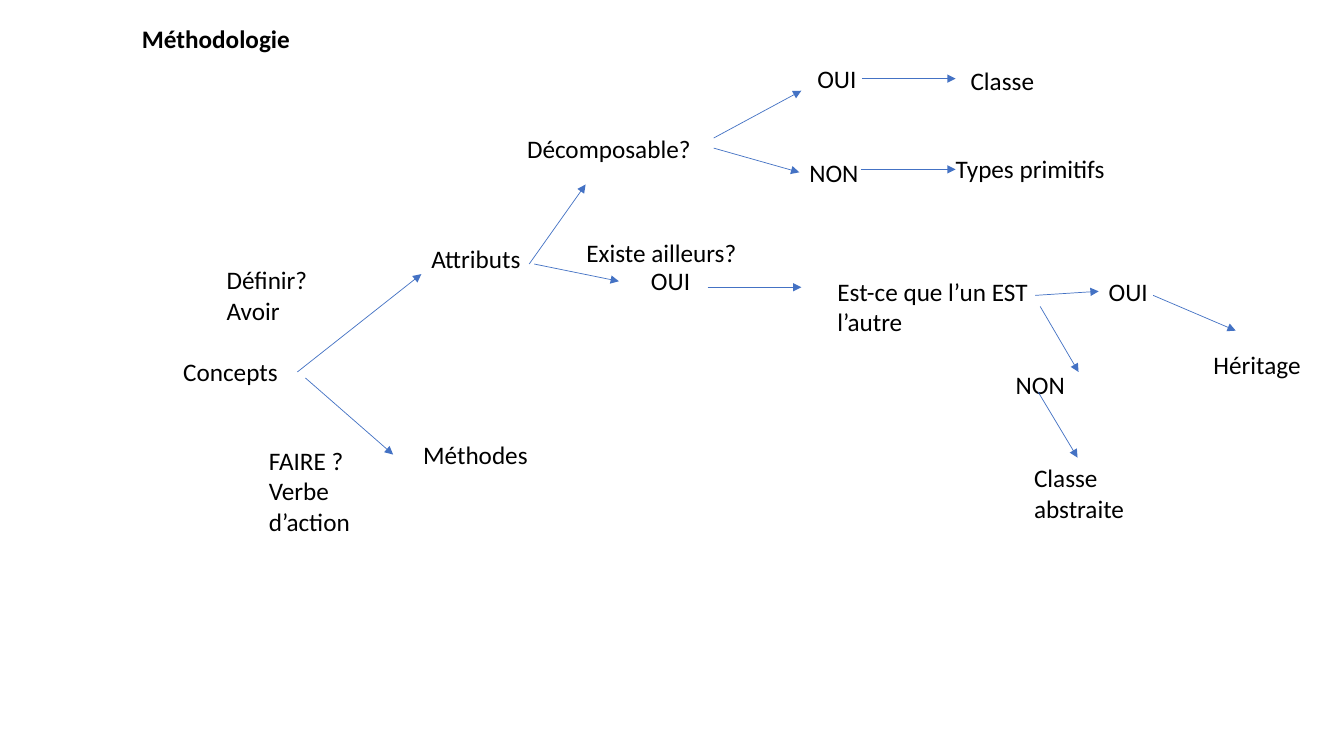
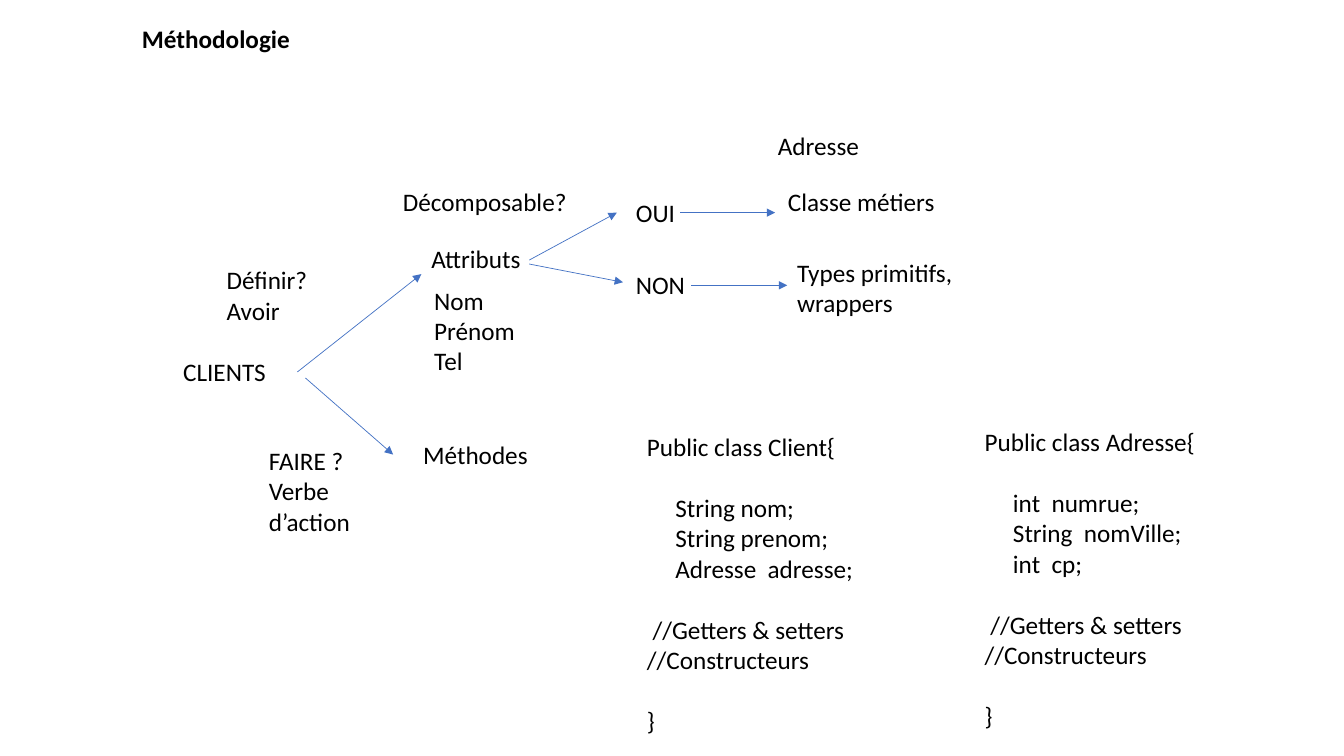
from lxml import etree
from pptx import Presentation
from pptx.dml.color import RGBColor
from pptx.enum import shapes, text
from pptx.oxml import ns
from pptx.util import Pt

BLACK = RGBColor(0x00, 0x00, 0x00)
BLUE = RGBColor(0x44, 0x72, 0xC4)


class Diagram:
    font_name = "Calibri"
    font_size = 18
    line_height = 21.8
    padding = 7.2

    def __init__(self, presentation):
        self.presentation = presentation
        self.slide = None

    def start(self, title):
        self.slide = self.presentation.slides.add_slide(self.presentation.slide_layouts[6])
        self.label(title, 94.3, 13, 328, bold=True)

    def label(self, content, left, top, width, rows=1, bold=False):
        height = rows * self.line_height + self.padding
        shape = self.slide.shapes.add_textbox(Pt(left), Pt(top), Pt(width), Pt(height))
        frame = shape.text_frame
        frame.word_wrap = True
        frame.auto_size = text.MSO_AUTO_SIZE.SHAPE_TO_FIT_TEXT
        frame.text = content
        for paragraph in frame.paragraphs:
            paragraph.font.name = self.font_name
            paragraph.font.size = Pt(self.font_size)
            paragraph.font.bold = bold
            paragraph.font.color.rgb = BLACK
        return frame.paragraphs

    def arrow(self, x1, y1, x2, y2):
        connector = self.slide.shapes.add_connector(
            shapes.MSO_CONNECTOR.STRAIGHT, Pt(x1), Pt(y1), Pt(x2), Pt(y2))
        connector.line.color.rgb = BLUE
        connector.line.width = Pt(0.5)
        etree.SubElement(connector.line._get_or_add_ln(), ns.qn("a:tailEnd"), type="triangle")
        etree.SubElement(connector._element.spPr, ns.qn("a:effectLst"))

    def code(self, name, fields, left, top):
        lines = [f"Public class {name}{{", *fields, "//Getters & setters", "//Constructeurs", "}"]
        paragraphs = self.label("\n".join(lines), left, top, 295, rows=10)
        comment = len(fields) + 1
        for index in (1, comment, len(lines) - 1):
            paragraphs[index].space_before = Pt(22)
        for paragraph in paragraphs[1:comment]:
            self.indent(paragraph, 20.3)
        self.indent(paragraphs[comment], 4.1)

    def indent(self, paragraph, distance):
        paragraph._p.get_or_add_pPr().set("marL", str(Pt(distance)))

    def concept_tree(self, concept):
        self.label(concept, 123.8, 251.3, 88.6)
        self.arrow(212.4, 265.7, 301, 195.8)
        self.label("Attributs", 301, 170.6, 88.6)
        self.label("Définir?\nAvoir", 154.8, 185.5, 103, rows=2)
        self.arrow(218.2, 270, 280.8, 324.7)
        self.label("Méthodes", 295.2, 310.3, 113)
        self.label("FAIRE ?\nVerbe d’action", 185, 314.6, 102.2, rows=3)


presentation = Presentation()
presentation.slide_width = Pt(960)
presentation.slide_height = Pt(540)
diagram = Diagram(presentation)

diagram.start("Méthodologie")
diagram.concept_tree("Concepts")
for label in (
    ("Décomposable?", 369.4, 91.4, 152),
    ("OUI", 576.7, 41.8, 106),
    ("Classe", 686.2, 43.2, 152),
    ("NON", 571, 108.7, 67),
    ("Types primitifs", 675.6, 105.8, 152),
    ("Existe ailleurs?", 411.8, 165.6, 152),
    ("OUI", 457.9, 186.2, 106),
    ("Est-ce que l’un EST l’autre", 591.1, 193.5, 152, 2),
    ("OUI", 784.8, 193.5, 106),
    ("Héritage", 859.7, 245.8, 106),
    ("NON", 718.4, 259.9, 106),
    ("Classe abstraite", 731.5, 327, 106, 2),
):
    diagram.label(*label)
for arrow in (
    (509.8, 98.6, 572.4, 64.8),
    (615.6, 56.2, 682.6, 56.2),
    (378, 188.6, 418.3, 131.8),
    (614.9, 121, 682.6, 121),
    (509.8, 105.8, 571, 123.1),
    (381.6, 188.6, 442.1, 200.9),
    (505.4, 205.2, 572.4, 205.2),
    (739.4, 211, 784.8, 208.1),
    (823.7, 211, 882.7, 236.2),
    (743, 218.9, 770.4, 265.7),
    (741.6, 280.1, 769.7, 326.9),
):
    diagram.arrow(*arrow)

diagram.start("Méthodologie")
diagram.concept_tree("CLIENTS")
for label in (
    ("Décomposable?", 280.8, 129.6, 152),
    ("OUI", 447.1, 137.5, 107),
    ("Classe métiers", 555.8, 129.6, 152),
    ("NON", 447.1, 188.6, 67),
    ("Types primitifs, wrappers", 562.3, 180, 152, 2),
    ("Nom\nPrénom\nTel", 303.1, 200.2, 88.6, 3),
    ("Adresse", 548.6, 89.3, 100),
):
    diagram.label(*label)
for arrow in (
    (378, 185.8, 440.6, 151.9),
    (486, 151.9, 553.7, 151.9),
    (378, 188.6, 445, 201.6),
    (493.9, 203.8, 562.3, 203.8),
):
    diagram.arrow(*arrow)
diagram.code("Client", ("String nom;", "String prenom;", "Adresse  adresse;"), 455, 304.6)
diagram.code("Adresse", ("int  numrue;", "String  nomVille;", "int  cp;"), 696.2, 301)

presentation.save("out.pptx")
